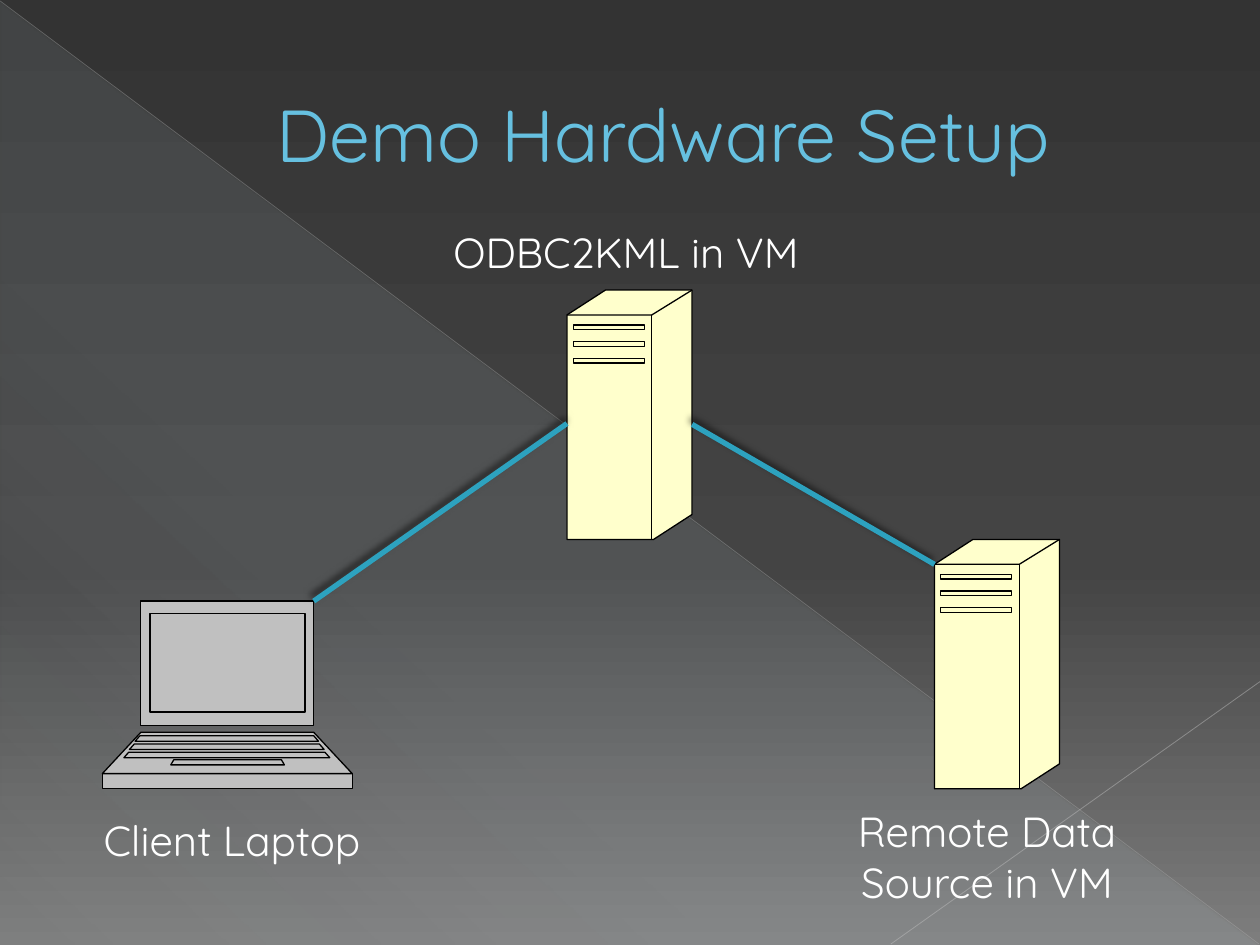
"""Build the demo hardware setup slide: a laptop linked through a server to a data source."""
import pptx
import pptx.dml.color
import pptx.enum.shapes
import pptx.enum.text
import pptx.oxml
import pptx.oxml.ns
import pptx.util

Pt = pptx.util.Pt
FONT = "Quicksand"
COLORS = {
    "top": "333333", "middle": "444444", "bottom": "7D7D7D", "glow": "DEF5FA",
    "diagonal": "B9B9B9", "corner": "C1C1C1", "title": "66C0E0", "title_edge": "1F7084",
    "text": "FFFFFF", "ink": "000000", "server": "FFFFCC", "laptop": "C0C0C0", "link": "2DA2BF",
}
SERVER_BODY = [(0, 14.25), (22, 0), (71.5, 0), (71.5, 128.25), (49.5, 142.5), (0, 142.5)]
SERVER_EDGES = [[(0, 14.25), (48.5, 14.25), (71.5, 0)], [(48.5, 14.25), (48.5, 142.5)]]


def rectangle(left, top, right, bottom):
    return [(left, top), (right, top), (right, bottom), (left, bottom), (left, top)]


def trapezoid(left, right, top, height, spread):
    bottom = top + height
    return [(left, top), (left - spread, bottom), (right + spread, bottom), (right, top), (left, top)]


def rgb(name):
    return pptx.dml.color.RGBColor.from_string(COLORS[name])


def xml(text):
    return pptx.oxml.parse_xml(text.replace(">", " " + pptx.oxml.ns.nsdecls("a") + ">", 1))


class SlideBuilder:
    def __init__(self, presentation):
        self.slide = presentation.slides.add_slide(presentation.slide_layouts[5])
        self.shapes = self.slide.shapes

    def gradient(self, fill, element, stops, angle):
        fill.gradient()
        gradient = element.find(".//" + pptx.oxml.ns.qn("a:gradFill"))
        for child in list(gradient):
            gradient.remove(child)
        stop_list = xml("<a:gsLst></a:gsLst>")
        for position, name, alpha in stops:
            stop_list.append(xml(
                f'<a:gs pos="{position * 1000}"><a:srgbClr val="{COLORS[name]}">'
                f'<a:alpha val="{alpha * 1000}"/></a:srgbClr></a:gs>'))
        gradient.append(stop_list)
        gradient.append(xml(f'<a:lin ang="{angle * 60000}" scaled="0"></a:lin>'))

    def background(self, stops, angle):
        self.gradient(self.slide.background.fill, self.slide._element, stops, angle)

    def glow(self, left, top, width, height, stops, angle):
        shape = self.shapes.add_shape(
            pptx.enum.shapes.MSO_SHAPE.RIGHT_TRIANGLE, Pt(left), Pt(top), Pt(width), Pt(height))
        shape.shadow.inherit = False
        shape.line.fill.background()
        self.gradient(shape.fill, shape._element, stops, angle)

    def line(self, start, end, color, width, alpha=100, shadow=False):
        connector = self.shapes.add_connector(
            pptx.enum.shapes.MSO_CONNECTOR.STRAIGHT, *(Pt(value) for value in start + end))
        connector.line.width = Pt(width)
        connector.line.color.rgb = rgb(color)
        properties = connector._element.spPr
        if alpha < 100:
            solid_color = properties.find(".//" + pptx.oxml.ns.qn("a:srgbClr"))
            solid_color.append(xml(f'<a:alpha val="{alpha * 1000}"></a:alpha>'))
        effect = (
            f'<a:outerShdw blurRad="{Pt(4)}" dist="{Pt(3)}" dir="{245 * 60000}" algn="t" rotWithShape="0">'
            f'<a:srgbClr val="{COLORS["ink"]}"><a:alpha val="60000"/></a:srgbClr></a:outerShdw>'
        ) if shadow else ""
        properties.append(xml(f"<a:effectLst>{effect}</a:effectLst>"))

    def outline(self, left, top, strokes, fill=None, close=False):
        strokes = [[(Pt(left + x), Pt(top + y)) for x, y in stroke] for stroke in strokes]
        builder = self.shapes.build_freeform(*strokes[0][0])
        for index, stroke in enumerate(strokes):
            if index:
                builder.move_to(*stroke[0])
            builder.add_line_segments(stroke[1:], close=close)
        shape = builder.convert_to_shape()
        shape.shadow.inherit = False
        shape.line.color.rgb = rgb("ink")
        shape.line.width = Pt(0.75)
        if fill:
            shape.fill.solid()
            shape.fill.fore_color.rgb = rgb(fill)
        else:
            shape.fill.background()

    def server(self, left, top):
        vents = [rectangle(3.6, y, 44.2, y + 2.7) for y in (20, 29.5, 39)]
        self.outline(left, top, [SERVER_BODY], "server", close=True)
        self.outline(left, top, SERVER_EDGES + vents)

    def laptop(self, left, top):
        case = [rectangle(22.2, 0, 121, 71), trapezoid(22.2, 121, 75, 23.6, 22),
                rectangle(0.2, 98.6, 143, 107.2)]
        keys = [trapezoid(21.6 - 3.2 * row, 121 + 3.2 * row, 77 + 4.7 * row, 3.1, 2.7)
                for row in range(3)]
        self.outline(left, top, case, "laptop", close=True)
        self.outline(left, top, [rectangle(27.4, 7.2, 116, 63.4), *keys,
                                 trapezoid(41, 102.5, 90.7, 2.9, 1.7)])

    def text_run(self, paragraph, text, size, color, centered):
        run = paragraph.add_run()
        run.text = text
        run.font.name = FONT
        run.font.size = Pt(size)
        run.font.color.rgb = rgb(color)
        if centered:
            paragraph.alignment = pptx.enum.text.PP_ALIGN.CENTER
        return run

    def title(self, text, left, top, width, height):
        shape = self.shapes.title
        self.shapes._spTree.append(shape._element)
        shape.left, shape.top, shape.width, shape.height = Pt(left), Pt(top), Pt(width), Pt(height)
        shape.text_frame.vertical_anchor = pptx.enum.text.MSO_ANCHOR.MIDDLE
        paragraph = shape.text_frame.paragraphs[0]
        run = self.text_run(paragraph, text, 42, "title", True)
        paragraph._p.get_or_add_pPr().set("marL", str(Pt(38)))
        run._r.get_or_add_rPr().insert(0, xml(
            f'<a:ln w="{Pt(0.5)}"><a:solidFill><a:srgbClr val="{COLORS["title_edge"]}"/>'
            "</a:solidFill></a:ln>"))

    def label(self, text, left, top, width, height, centered=True):
        frame = self.shapes.add_textbox(Pt(left), Pt(top), Pt(width), Pt(height)).text_frame
        frame.word_wrap = centered
        frame.auto_size = pptx.enum.text.MSO_AUTO_SIZE.SHAPE_TO_FIT_TEXT
        self.text_run(frame.paragraphs[0], text, 24, "text", centered)


def main():
    presentation = pptx.Presentation()
    presentation.slide_width, presentation.slide_height = Pt(720), Pt(540)
    builder = SlideBuilder(presentation)
    builder.background([(0, "top", 100), (60, "middle", 100), (100, "bottom", 100)], 90)
    builder.glow(0.5, 1, 719, 539, [(0, "glow", 10), (70, "glow", 8), (100, "glow", 1)], 133)
    builder.line((0, 0.5), (719.5, 539.5), "diagonal", 0.39, 35)
    builder.line((720, 389.5), (509, 539.5), "corner", 0.47, 45)
    builder.title("Demo Hardware Setup", 36, 21, 648, 110)
    builder.server(324, 165.75)
    builder.server(534, 308.25)
    builder.laptop(58.3, 343.5)
    builder.line((179.3, 343.5), (324, 242), "link", 3, shadow=True)
    builder.line((395.5, 242.5), (534, 322.5), "link", 3, shadow=True)
    builder.label("ODBC2KML in VM", 252, 126, 220, 36, centered=False)
    builder.label("Remote Data Source in VM", 456, 457, 216, 65.5)
    builder.label("Client Laptop", 36, 462, 193, 36)
    presentation.save("out.pptx")


if __name__ == "__main__":
    main()
